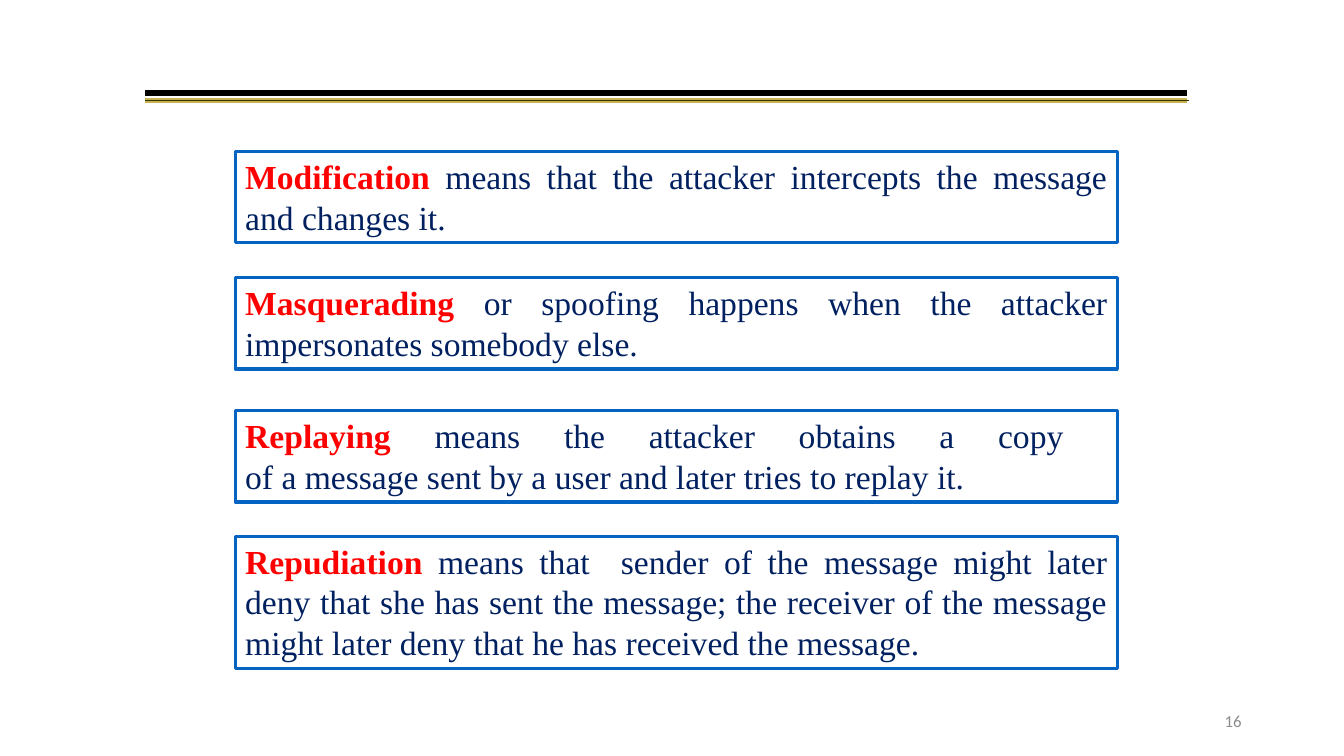
from pptx import Presentation
from pptx.dml.color import RGBColor
from pptx.enum.shapes import MSO_CONNECTOR, MSO_SHAPE
from pptx.enum.text import MSO_ANCHOR, MSO_AUTO_SIZE, PP_ALIGN
from pptx.oxml.ns import qn
from pptx.util import Cm, Pt
from lxml import etree

RED = RGBColor(0xFF, 0x00, 0x00)
NAVY = RGBColor(0x00, 0x20, 0x60)
BLUE = RGBColor(0x05, 0x63, 0xC1)
GOLD = RGBColor(0xC8, 0xB4, 0x52)
OLIVE = RGBColor(0x33, 0x33, 0x00)
BLACK = RGBColor(0x00, 0x00, 0x00)
GRAY = RGBColor(0x8C, 0x8C, 0x8C)

STRAIGHT = MSO_CONNECTOR.STRAIGHT
RECT = MSO_SHAPE.RECTANGLE
TOP, MIDDLE = MSO_ANCHOR.TOP, MSO_ANCHOR.MIDDLE
JUSTIFY, RIGHT = PP_ALIGN.JUSTIFY, PP_ALIGN.RIGHT
GROW = MSO_AUTO_SIZE.SHAPE_TO_FIT_TEXT


def write(para, text, color, size=24, face="Times New Roman", bold=False):
    """Add text to a paragraph, turning each newline into a line break."""
    for i, part in enumerate(text.split("\n")):
        if i:
            para.add_line_break()
        run = para.add_run()
        run.text = part
        run.font.name = face
        run.font.size = Pt(size)
        run.font.bold = bold
        run.font.color.rgb = color


deck = Presentation()
deck.slide_width, deck.slide_height = Cm(33.87), Cm(19.05)
slide = deck.slides.add_slide(deck.slide_layouts[6])
shapes = slide.shapes

# Header rules: height, right end, colour, weight
rules = [
    (2.54, 29.92, GOLD, 3.5),
    (2.34, 29.92, BLACK, 4),
    (2.54, 29.97, OLIVE, 1),
]
for y, end, color, weight in rules:
    rule = shapes.add_connector(STRAIGHT, Cm(3.66), Cm(y), Cm(end), Cm(y))
    rule.line.color.rgb = color
    rule.line.width = Pt(weight)
    etree.SubElement(rule._element.spPr, qn("a:effectLst"))

# Attack definitions: top, height, term, meaning
attacks = [
    (3.81, 2.31, "Modification",
     " means that the attacker intercepts the message and changes it."),
    (6.99, 2.31, "Masquerading",
     " or spoofing happens when the attacker impersonates somebody else."),
    (10.34, 2.31, "Replaying",
     " means the attacker obtains a copy \n"
     "of a message sent by a user and later tries to replay it. "),
    (13.51, 3.33, "Repudiation",
     " means that  sender of the message might later deny that she has sent "
     "the message; the receiver of the message might later deny that he has "
     "received the message."),
]
for top, height, term, meaning in attacks:
    box = shapes.add_shape(RECT, Cm(5.93), Cm(top), Cm(22.23), Cm(height))
    box.shadow.inherit = False
    box.fill.background()
    box.line.color.rgb = BLUE
    box.line.width = Pt(2.25)
    frame = box.text_frame
    frame.word_wrap = True
    frame.auto_size = GROW
    frame.vertical_anchor = TOP
    para = frame.paragraphs[0]
    para.alignment = JUSTIFY
    write(para, term, RED, bold=True)
    write(para, meaning, NAVY)

# Page number
page = shapes.add_textbox(Cm(23.92), Cm(17.66), Cm(7.62), Cm(1.01))
frame = page.text_frame
frame.word_wrap = True
frame.vertical_anchor = MIDDLE
para = frame.paragraphs[0]
para.alignment = RIGHT
write(para, "16", GRAY, size=12, face="Calibri")

deck.save("out.pptx")
